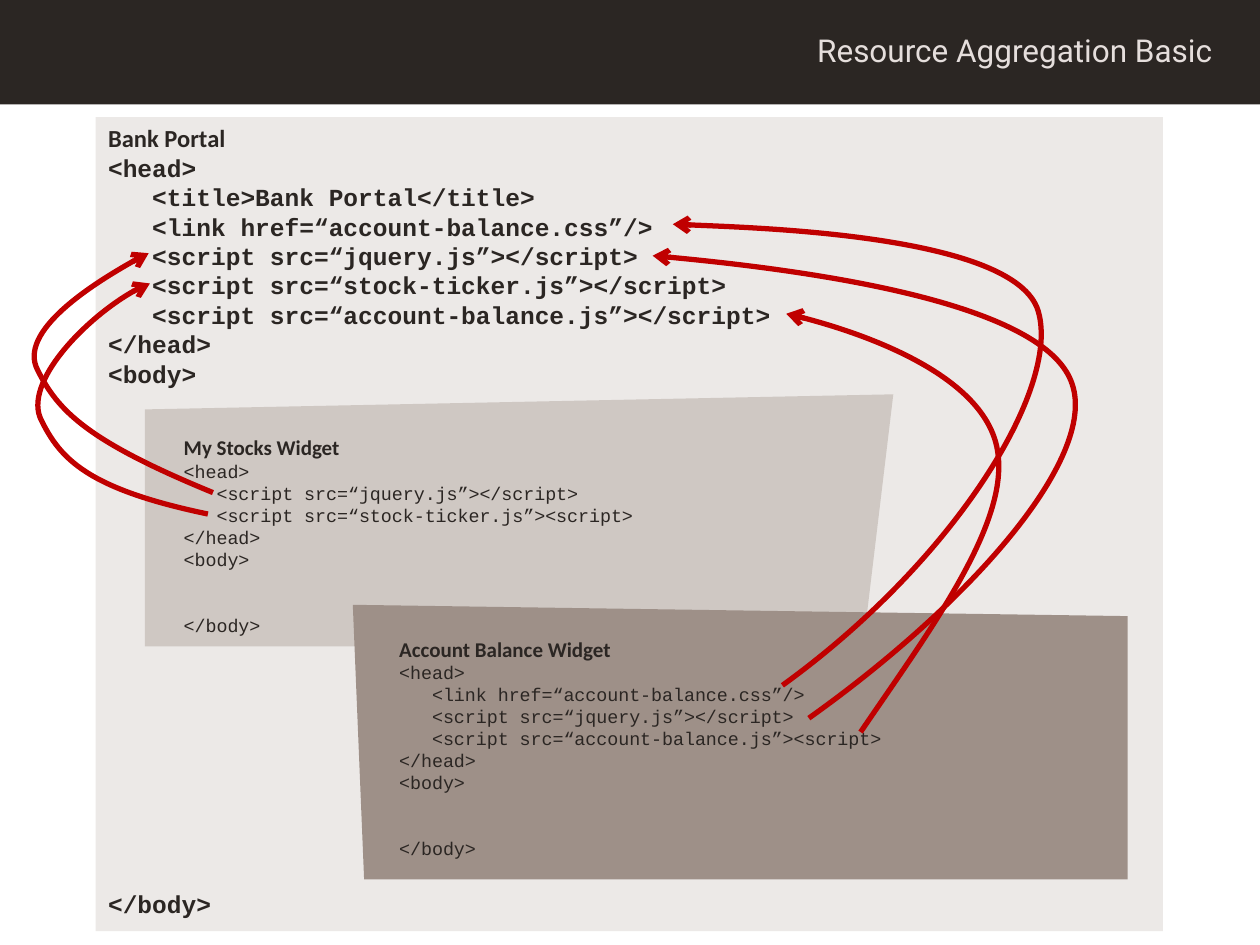
from pptx import Presentation
from pptx.dml.color import RGBColor
from pptx.enum.shapes import MSO_SHAPE
from pptx.enum.text import MSO_ANCHOR, PP_ALIGN
from pptx.oxml.ns import qn
from pptx.util import Inches, Pt
from lxml.etree import SubElement

DARK = RGBColor(0x2B, 0x26, 0x23)
TITLE_TEXT = RGBColor(0xE5, 0xDE, 0xDC)
PORTAL_FILL = RGBColor(0xEC, 0xE9, 0xE7)
STOCKS_FILL = RGBColor(0xCF, 0xC8, 0xC3)
BALANCE_FILL = RGBColor(0x9E, 0x90, 0x88)
ARROW_RED = RGBColor(0xC0, 0x00, 0x00)

PORTAL_CODE = [
    "<head>",
    "   <title>Bank Portal</title>",
    "   <link href=“account-balance.css”/>",
    "   <script src=“jquery.js”></script>",
    "   <script src=“stock-ticker.js”></script>",
    "   <script src=“account-balance.js”></script>",
    "</head>",
    "<body>",
    "</body>",
]
STOCKS_CODE = [
    "<head>",
    "   <script src=“jquery.js”></script>",
    "   <script src=“stock-ticker.js”><script>",
    "</head>",
    "<body>",
    "</body>",
]
BALANCE_CODE = [
    "<head>",
    "   <link href=“account-balance.css”/>",
    "   <script src=“jquery.js”></script>",
    "   <script src=“account-balance.js”><script>",
    "</head>",
    "<body>",
    "</body>",
]

# Each arrow: start, then two curves of (control, control, end)
ARROWS = [
    [(1.69, 3.91), (0.69, 3.5), (0.46, 3.26), (0.3, 2.94),
     (0.13, 2.63), (0.94, 2.12), (1.18, 2.01)],
    [(1.65, 4.08), (0.69, 3.88), (0.48, 3.64), (0.33, 3.34),
     (0.17, 3.04), (0.81, 2.39), (1.19, 2.25)],
    [(6.42, 5.7), (7.7, 4.79), (8.71, 3.64), (8.51, 3.05),
     (8.32, 2.46), (6.67, 2.16), (5.18, 2.03)],
    [(6.21, 5.44), (7.58, 4.45), (8.42, 3.08), (8.24, 2.47),
     (8.06, 1.86), (5.34, 1.78), (5.34, 1.78)],
    [(6.83, 5.81), (7.36, 5.03), (8, 4.18), (7.92, 3.6),
     (7.85, 3.02), (6.83, 2.62), (6.24, 2.49)],
]


def to_emu(points):
    return [(Inches(x), Inches(y)) for x, y in points]


def fill_plain(shape, color):
    shape.shadow.inherit = False
    shape.fill.solid()
    shape.fill.fore_color.rgb = color
    shape.line.fill.background()


def add_panel(shapes, left, top, width, height, color):
    panel = shapes.add_shape(MSO_SHAPE.RECTANGLE, Inches(left), Inches(top),
                             Inches(width), Inches(height))
    fill_plain(panel, color)
    return panel


def set_font(paragraph, name, size, color, bold=False):
    font = paragraph.font
    font.name, font.size, font.bold = name, Pt(size), bold
    font.color.rgb = color


def write_listing(frame, heading, code, heading_size, code_size, code_bold, body_gap):
    """Heading and code lines; body_gap is the room left inside <body>."""
    frame.word_wrap = True
    frame.vertical_anchor = MSO_ANCHOR.TOP
    frame.text = "\n".join([heading, *code])
    for paragraph in frame.paragraphs:
        paragraph.alignment = PP_ALIGN.LEFT
        set_font(paragraph, "Courier New", code_size, DARK, code_bold)
    set_font(frame.paragraphs[0], "Calibri", heading_size, DARK, True)
    frame.paragraphs[-1].space_before = Pt(body_gap)


def add_title(slide, text):
    title = slide.shapes.add_textbox(Inches(2.87), Inches(0.2), Inches(6.85), Inches(0.4))
    frame = title.text_frame
    frame.word_wrap = True
    frame.vertical_anchor = MSO_ANCHOR.MIDDLE
    frame.text = text
    frame.paragraphs[0].alignment = PP_ALIGN.RIGHT
    set_font(frame.paragraphs[0], "Roboto", 18, TITLE_TEXT)


def add_widget(slide, corners, color, text_box, heading, code):
    group = slide.shapes.add_group_shape()
    start, *others = to_emu(corners)
    builder = group.shapes.build_freeform(*start)
    builder.add_line_segments(others, close=True)
    fill_plain(builder.convert_to_shape(), color)
    listing = group.shapes.add_textbox(*map(Inches, text_box))
    write_listing(listing.text_frame, heading, code, 12, 10.5, False, 25)


def add_curved_arrow(slide, points):
    points = to_emu(points)
    builder = slide.shapes.build_freeform(*points[0])
    builder.add_line_segments(points[3::3], close=False)
    arrow = builder.convert_to_shape()
    arrow.shadow.inherit = False
    arrow.fill.background()
    arrow.line.color.rgb = ARROW_RED
    arrow.line.width = Pt(3)

    # Turn the straight segments into Bézier curves
    segments = list(arrow.element.iter(qn("a:lnTo")))
    for index, segment in enumerate(segments):
        curve = SubElement(segment.getparent(), qn("a:cubicBezTo"))
        for x, y in points[3 * index + 1:3 * index + 4]:
            SubElement(curve, qn("a:pt"), x=str(x - arrow.left), y=str(y - arrow.top))
        segment.getparent().remove(segment)

    SubElement(arrow.line.fill._xPr, qn("a:tailEnd"), type="arrow")


def main():
    presentation = Presentation()
    presentation.slide_width, presentation.slide_height = Inches(10), Inches(7.5)
    slide = presentation.slides.add_slide(presentation.slide_layouts[6])

    # Title band
    add_panel(slide.shapes, 0, 0, 10, 0.83, DARK)
    add_title(slide, "Resource Aggregation Basic")

    # Portal page
    portal = add_panel(slide.shapes, 0.76, 0.93, 8.47, 6.46, PORTAL_FILL)
    write_listing(portal.text_frame, "Bank Portal", PORTAL_CODE, 14, 14, True, 286)

    # Widgets inside the portal
    add_widget(slide, [(1.15, 3.25), (7.09, 3.13), (6.85, 5.13), (1.15, 5.13)],
               STOCKS_FILL, (1.36, 3.4, 5.66, 1.72), "My Stocks Widget", STOCKS_CODE)
    add_widget(slide, [(2.8, 4.8), (8.95, 4.89), (8.95, 6.98), (2.89, 6.98)],
               BALANCE_FILL, (3.07, 5, 6.03, 1.64), "Account Balance Widget", BALANCE_CODE)

    # Resources lifted into the portal head
    for points in ARROWS:
        add_curved_arrow(slide, points)

    presentation.save("out.pptx")


if __name__ == "__main__":
    main()
